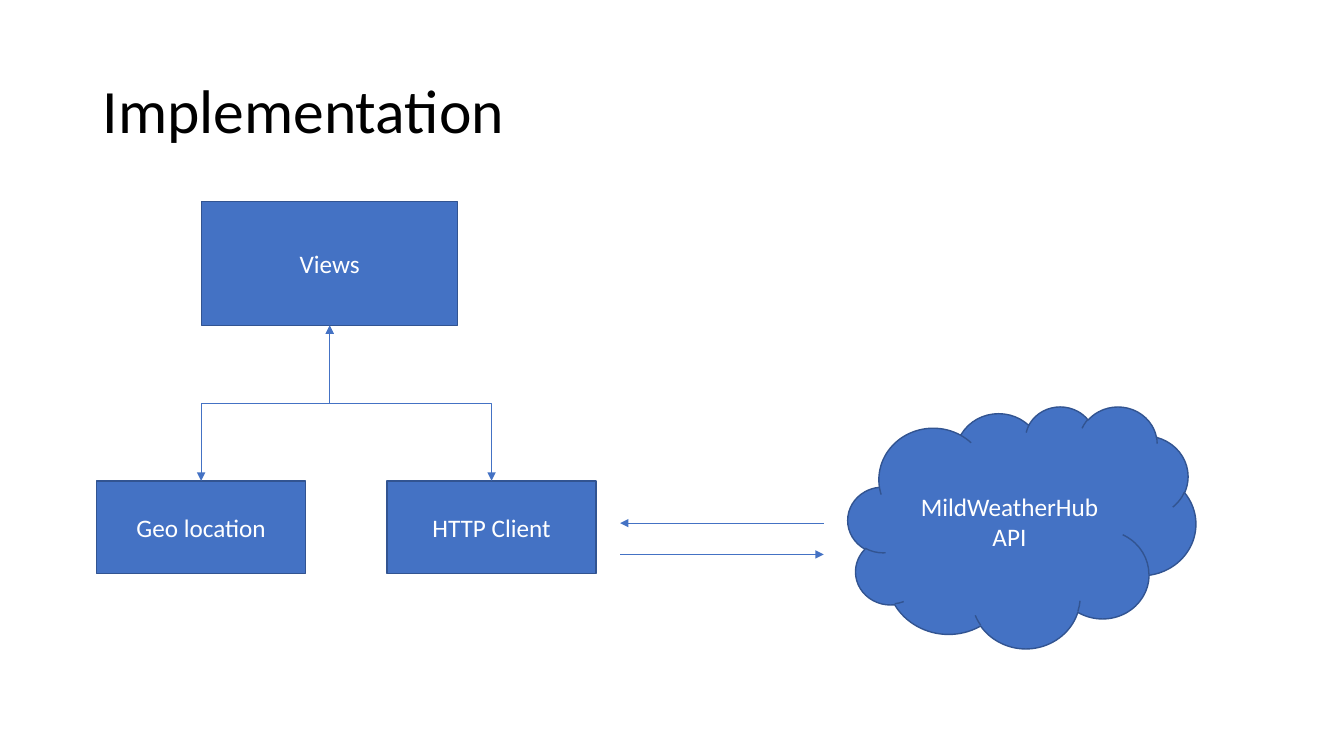
"""Build the Implementation slide: app components linked to a weather API cloud."""
from dataclasses import dataclass
from lxml.etree import SubElement
from pptx import Presentation
from pptx.dml.color import RGBColor
from pptx.enum.shapes import MSO_CONNECTOR as Line, MSO_SHAPE as Shape
from pptx.enum.text import MSO_ANCHOR as Anchor, PP_ALIGN as Align
from pptx.oxml.ns import qn
from pptx.util import Pt

PX = 9144
SLIDE = (1333, 750)
TITLE = ("Implementation", (92, 40, 1150, 145))
NODES = {
    "views": ("Views", Shape.RECTANGLE, (200, 200, 254, 123)),
    "geo": ("Geo location", Shape.RECTANGLE, (96, 477, 207, 92)),
    "http": ("HTTP Client", Shape.RECTANGLE, (384, 477, 207, 92)),
    "cloud": ("MildWeatherHub API", Shape.CLOUD, (841, 403, 345, 240)),
}
BRANCHES = [("views", "http"), ("views", "geo")]
REQUESTS = [((615, 550), (817, 550)), ((817, 519), (615, 519))]


@dataclass(frozen=True)
class Theme:
    font: str = "Calibri"
    title: int = 44
    body: int = 18
    ink: str = "000000"
    light: str = "FFFFFF"
    fill: str = "4472C4"
    edge: str = "325491"
    edge_width: float = 1
    arrow_width: float = 0.5


T = Theme()


def emu(*lengths):
    return [round(v * PX) for v in lengths]


def write(sp, text, size=T.body, color=T.light, align=Align.CENTER, spacing=None):
    tf = sp.text_frame
    tf.word_wrap = True
    tf.vertical_anchor = Anchor.MIDDLE
    p = tf.paragraphs[0]
    p.alignment = align
    if spacing:
        p.line_spacing = spacing
    r = p.add_run()
    r.text = text
    r.font.name, r.font.size = T.font, Pt(size)
    r.font.color.rgb = RGBColor.from_string(color)


def add_node(s, text, kind, box):
    sp = s.shapes.add_shape(kind, *emu(*box))
    sp.shadow.inherit = False
    sp.fill.solid()
    sp.fill.fore_color.rgb = RGBColor.from_string(T.fill)
    sp.line.color.rgb = RGBColor.from_string(T.edge)
    sp.line.width = Pt(T.edge_width)
    write(sp, text)


def add_arrow(s, kind, start, end, ends=("tailEnd",)):
    cxn = s.shapes.add_connector(kind, *emu(*start, *end))
    cxn.line.color.rgb = RGBColor.from_string(T.fill)
    cxn.line.width = Pt(T.arrow_width)
    sp_pr = cxn._element.spPr
    for tag in ends:
        SubElement(sp_pr.find(qn("a:ln")), qn(f"a:{tag}"), type="triangle")
    SubElement(sp_pr, qn("a:effectLst"))
    return cxn


def add_branch(s, parent, child):
    px, py, pw, ph = NODES[parent][2]
    cx, cy, cw, _ = NODES[child][2]
    x1, y1, x2, y2 = px + pw / 2, py + ph, cx + cw / 2, cy
    mx, my = (x1 + x2) / 2, (y1 + y2) / 2
    dx, dy = abs(x2 - x1) / 2, (y2 - y1) / 2
    cxn = add_arrow(s, Line.ELBOW, (mx - dy, my - dx), (mx + dy, my + dx),
                    ends=("headEnd", "tailEnd"))
    xfrm = cxn._element.spPr.find(qn("a:xfrm"))
    to_right = x2 > x1
    xfrm.set("rot", str((270 if to_right else 90) * 60000))
    if to_right:
        xfrm.set("flipH", "1")


def main():
    prs = Presentation()
    prs.slide_width, prs.slide_height = emu(*SLIDE)
    s = prs.slides.add_slide(prs.slide_layouts[6])
    text, box = TITLE
    write(s.shapes.add_textbox(*emu(*box)), text, size=T.title, color=T.ink,
          align=Align.LEFT, spacing=0.9)
    for node in NODES.values():
        add_node(s, *node)
    for start, end in REQUESTS:
        add_arrow(s, Line.STRAIGHT, start, end)
    for parent, child in BRANCHES:
        add_branch(s, parent, child)
    prs.save("out.pptx")


if __name__ == "__main__":
    main()
